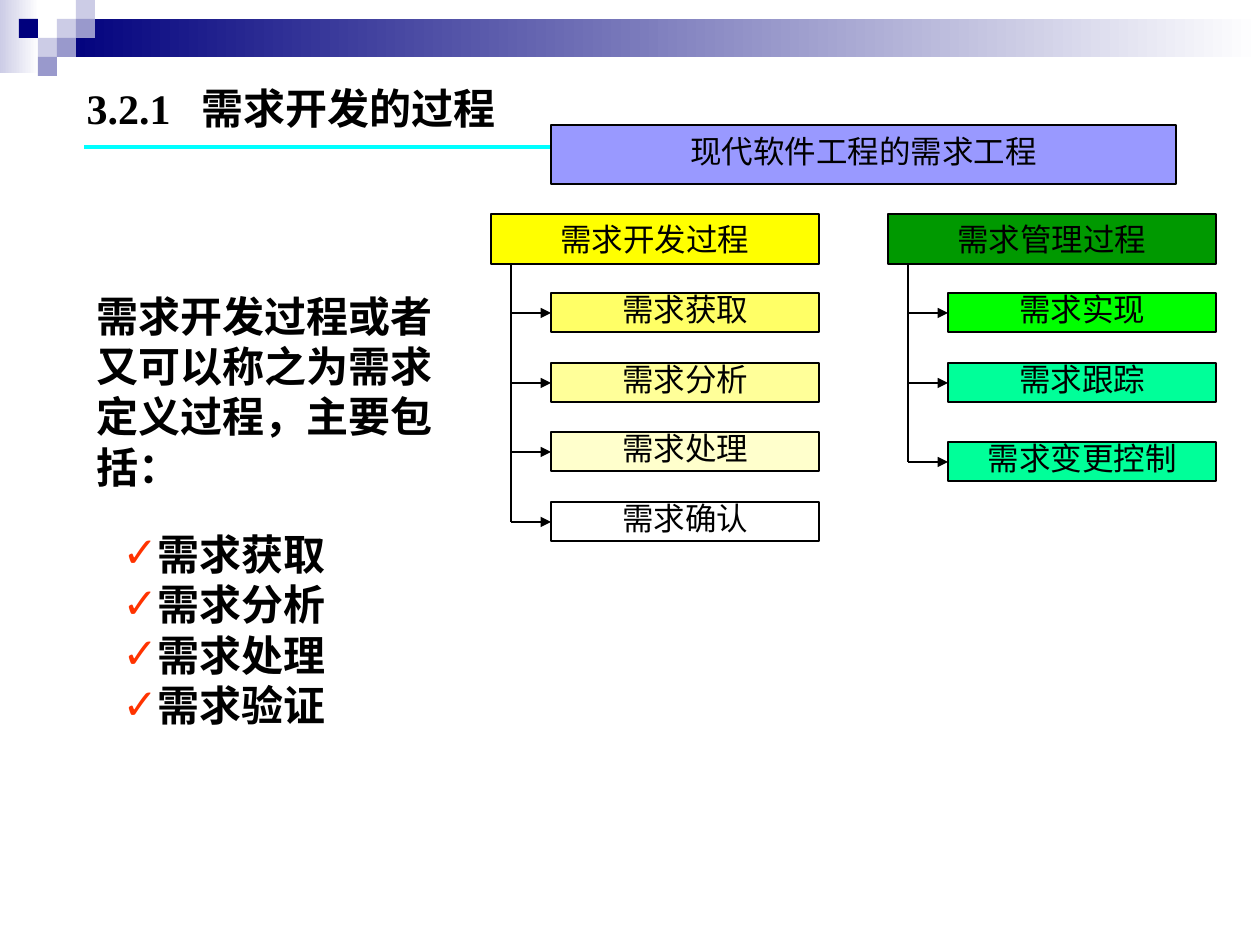
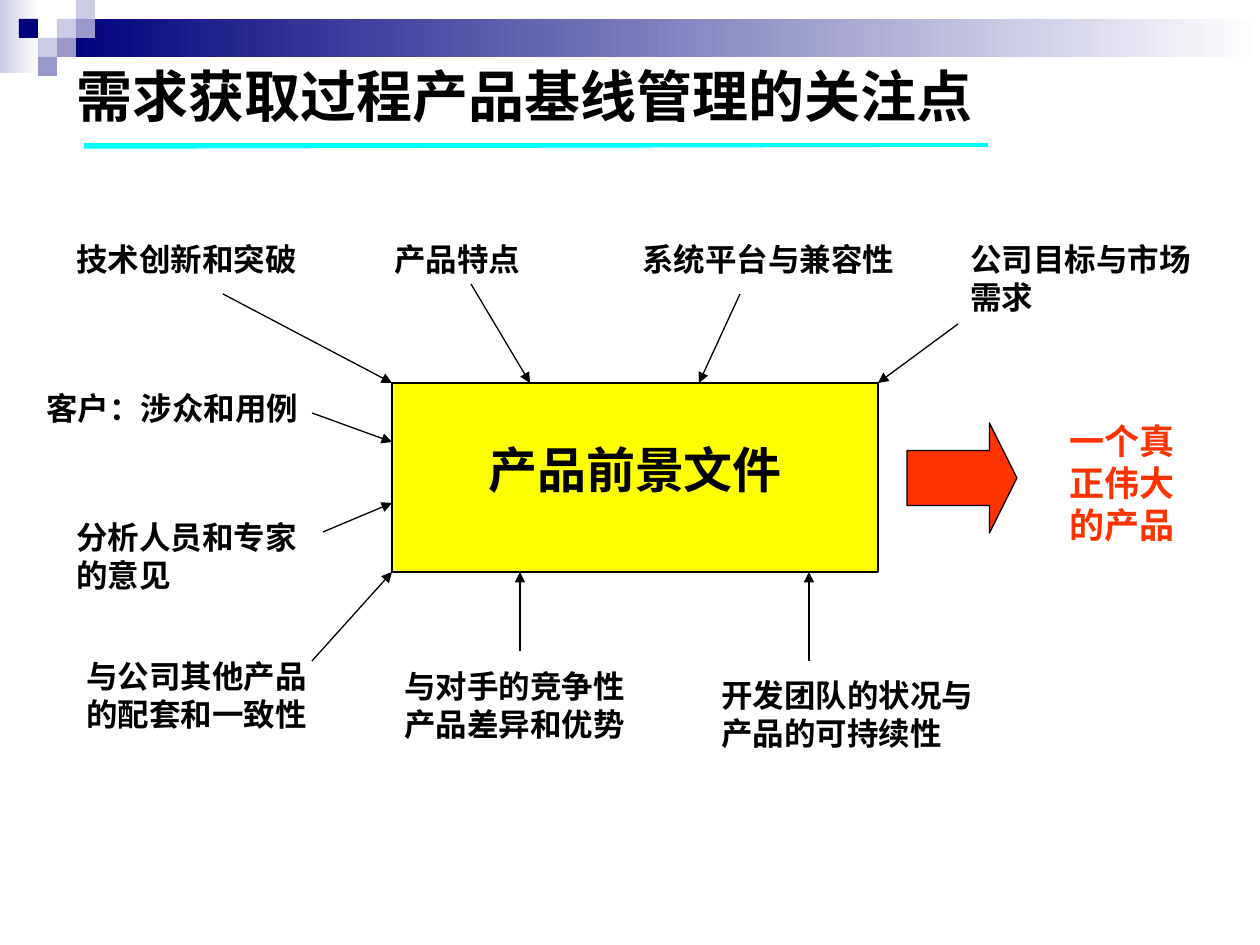
"""Build two slides on requirements development and product baseline management."""
import lxml.etree
import pptx
import pptx.dml.color
import pptx.enum.shapes
import pptx.enum.text
import pptx.oxml.ns
import pptx.util

PX = 914400 / 126
EAST_ASIAN_FONT = "Noto Sans CJK SC"
COLOURS = {
    "black": "000000", "white": "FFFFFF", "navy": "00007D", "mist": "CCCCE6",
    "lavender": "9999CC", "cyan": "00FFFF", "violet": "9999FF", "red": "FF3300",
    "yellow": "FFFF00", "yellow_1": "FFFF66", "yellow_2": "FFFF99", "yellow_3": "FFFFCC",
    "green": "009900", "lime": "00FF00", "mint": "00FF99",
}
RECTANGLE = pptx.enum.shapes.MSO_SHAPE.RECTANGLE
LEFT = pptx.enum.text.PP_ALIGN.LEFT
CENTER = pptx.enum.text.PP_ALIGN.CENTER


def px(length):
    """Turn px into EMU."""
    return pptx.util.Emu(round(length * PX))


def colour(name):
    """Look up a named colour."""
    return pptx.dml.color.RGBColor.from_string(COLOURS[name])


def add_xml(parent, tag, **attributes):
    """Append a DrawingML element."""
    return lxml.etree.SubElement(parent, pptx.oxml.ns.qn(tag), attributes)


class Deck:
    """Hold the style and the current slide."""

    def __init__(self):
        """Start a deck of 10 by 7.5 inches."""
        self.presentation = pptx.Presentation()
        self.presentation.slide_width = px(1260)
        self.presentation.slide_height = px(945)
        self.slide = None

    def new_slide(self, layout):
        """Add a slide and make it current."""
        self.slide = self.presentation.slides.add_slide(self.presentation.slide_layouts[layout])

    def place(self, shape, left, top, width, height):
        """Move and size a shape."""
        shape.left, shape.top, shape.width, shape.height = map(px, (left, top, width, height))

    def set_text(self, shape, text, size, ink="black", bold=False, font="Arial", align=LEFT):
        """Set the text of a shape and format its runs."""
        frame = shape.text_frame
        frame.text = text
        frame.word_wrap = True
        frame.auto_size = pptx.enum.text.MSO_AUTO_SIZE.NONE
        frame.vertical_anchor = pptx.enum.text.MSO_ANCHOR.TOP
        for paragraph in frame.paragraphs:
            paragraph.alignment = align
            paragraph.space_before = pptx.util.Pt(0)
            for run in paragraph.runs:
                run.font.size = pptx.util.Pt(size)
                run.font.bold = bold
                run.font.name = font
                run.font.color.rgb = colour(ink)
                add_xml(run.font._element, "a:ea", typeface=EAST_ASIAN_FONT)

    def title(self, text, box, size, font, tab=None):
        """Fill the title placeholder, with an optional tab stop."""
        title = self.slide.shapes.title
        self.place(title, *box)
        self.set_text(title, text, size, bold=True, font=font)
        if tab:
            properties = title.text_frame.paragraphs[0]._p.get_or_add_pPr()
            stops = add_xml(properties, "a:tabLst")
            add_xml(stops, "a:tab", pos=str(px(tab)), algn="l")

    def check_list(self, items, box):
        """Fill the body placeholder with ticked items."""
        body = self.slide.placeholders[1]
        self.place(body, *box)
        self.set_text(body, "\n".join(items), 24, bold=True, font=EAST_ASIAN_FONT)
        for paragraph in body.text_frame.paragraphs:
            properties = paragraph._p.get_or_add_pPr()
            properties.set("marL", str(px(68)))
            properties.set("indent", str(px(-32)))
            bullet_colour = add_xml(properties, "a:buClr")
            add_xml(bullet_colour, "a:srgbClr", val=COLOURS["red"])
            add_xml(properties, "a:buChar", char="✓")

    def label(self, text, box, size=18, ink="black"):
        """Add a bold text box."""
        shape = self.slide.shapes.add_textbox(*map(px, box))
        self.set_text(shape, text, size, ink, bold=True)

    def shape(self, box, fill, outlined=True, kind=RECTANGLE):
        """Add a flat filled shape."""
        shape = self.slide.shapes.add_shape(kind, *map(px, box))
        shape.shadow.inherit = False
        shape.fill.solid()
        shape.fill.fore_color.rgb = colour(fill)
        if outlined:
            shape.line.color.rgb = colour("black")
            shape.line.width = pptx.util.Pt(0.75)
        else:
            shape.line.fill.background()
        return shape

    def text_block(self, text, box, fill, size=18, bold=False, lift=0):
        """Add an outlined rectangle with centred text, raised by lift px."""
        shape = self.shape(box, fill)
        self.set_text(shape, text, size, bold=bold, align=CENTER)
        frame = shape.text_frame
        frame.vertical_anchor = pptx.enum.text.MSO_ANCHOR.MIDDLE
        frame.margin_top = 0
        frame.margin_bottom = px(2 * lift)

    def fade(self, box, start):
        """Add a rectangle that fades to white on the right."""
        shape = self.shape(box, start, outlined=False)
        shape.fill.gradient()
        shape.fill.gradient_angle = 0
        for stop, name in zip(shape.fill.gradient_stops, (start, "white")):
            stop.color.rgb = colour(name)
        return shape

    def line(self, start, end, ink="black", width=0.75, arrow=False):
        """Add a straight line, with an optional arrowhead at its end."""
        kind = pptx.enum.shapes.MSO_CONNECTOR.STRAIGHT
        connector = self.slide.shapes.add_connector(kind, *map(px, (*start, *end)))
        connector.line.color.rgb = colour(ink)
        connector.line.width = pptx.util.Pt(width)
        if arrow:
            add_xml(connector.line._get_or_add_ln(), "a:tailEnd", type="triangle")
        add_xml(connector._element.spPr, "a:effectLst")

    def master_band(self):
        """Put the top band and its mosaic on the slide master."""
        cell = 19
        mosaic = [(3, 1, "mist"), (4, 0, "mist"), (4, 1, "lavender"), (2, 2, "mist"),
                  (1, 1, "navy"), (3, 2, "lavender"), (2, 3, "lavender")]
        parts = [self.fade((0, 0, 39, 73), "mist"), self.fade((57, 19, 1203, 38), "navy")]
        parts += [self.shape((column * cell, row * cell, cell, cell), fill, outlined=False)
                  for column, row, fill in mosaic]
        tree = self.presentation.slide_master.shapes.element
        for index, part in enumerate(parts):
            part.element.nvSpPr.cNvPr.set("id", str(101 + index))
            tree.insert(2 + index, part.element)

    def process_tree(self, heading, left, fill, steps):
        """Add a process heading with arrows to its steps."""
        trunk, step_left = left + 20, left + 60
        self.text_block(heading, (left, 214, 328, 50), fill)
        for text, top, step_fill in steps:
            self.text_block(text, (step_left, top, 268, 39), step_fill, lift=4)
            self.line((trunk, top + 20), (step_left, top + 20), arrow=True)
        self.line((trunk, 264), (trunk, steps[-1][1] + 20))


def add_development_slide(deck):
    """Add the slide on the requirements development process."""
    deck.new_slide(1)
    deck.master_band()
    deck.title("3.2.1\t需求开发的过程", (74, 76, 462, 63), 24, "Times New Roman", tab=115)
    for right in (540, 683):
        deck.line((right, 147), (84, 147), "cyan", 0)
    deck.check_list(["需求获取", "需求分析", "需求处理", "需求验证"], (74, 522, 794, 265))
    deck.text_block("现代软件工程的需求工程", (551, 125, 625, 59), "violet", lift=4)
    deck.process_tree("需求开发过程", 491, "yellow", [
        ("需求获取", 293, "yellow_1"), ("需求分析", 363, "yellow_2"),
        ("需求处理", 432, "yellow_3"), ("需求确认", 502, "white")])
    deck.process_tree("需求管理过程", 888, "green", [
        ("需求实现", 293, "lime"), ("需求跟踪", 363, "mint"), ("需求变更控制", 442, "mint")])
    deck.label("需求开发过程或者又可以称之为需求定义过程，主要包括：", (84, 284, 367, 214), 24)


def add_baseline_slide(deck):
    """Add the slide on what shapes the product vision document."""
    deck.new_slide(5)
    deck.title("需求获取过程产品基线管理的关注点", (64, 55, 1053, 81), 32, EAST_ASIAN_FONT)
    for left_end in (147, 145):
        deck.line((988, 145), (84, left_end), "cyan", 0)
    deck.text_block("产品前景文件", (392, 383, 486, 189), "yellow", 28, bold=True, lift=9)
    one_line, two_lines = 50, 88
    factors = [
        ("技术创新和突破", (64, 234, 258, one_line), (223, 294), (392, 383)),
        ("产品特点", (382, 234, 159, one_line), (471, 284), (530, 383)),
        ("系统平台与兼容性", (630, 234, 297, one_line), (740, 294), (699, 383)),
        ("公司目标与市场需求", (958, 234, 258, two_lines), (958, 324), (878, 383)),
        ("客户：涉众和用例", (34, 383, 287, one_line), (312, 413), (392, 442)),
        ("分析人员和专家的意见", (64, 512, 258, two_lines), (323, 532), (392, 503)),
        ("与公司其他产品的配套和一致性", (74, 651, 258, two_lines), (312, 661), (392, 572)),
        ("与对手的竞争性产品差异和优势", (392, 661, 258, two_lines), (520, 651), (520, 572)),
        ("开发团队的状况与产品的可持续性", (709, 670, 297, two_lines), (809, 661), (809, 572)),
    ]
    for text, box, start, end in factors:
        deck.label(text, box)
        deck.line(start, end, arrow=True)
    arrow = deck.shape((907, 423, 110, 110), "red", kind=pptx.enum.shapes.MSO_SHAPE.RIGHT_ARROW)
    arrow.adjustments[0], arrow.adjustments[1] = 0.5, 0.25
    deck.label("一个真正伟大的产品", (1057, 413, 149, 139), 20, "red")


def main():
    """Build and save the deck."""
    deck = Deck()
    add_development_slide(deck)
    add_baseline_slide(deck)
    deck.presentation.save("out.pptx")


if __name__ == "__main__":
    main()
